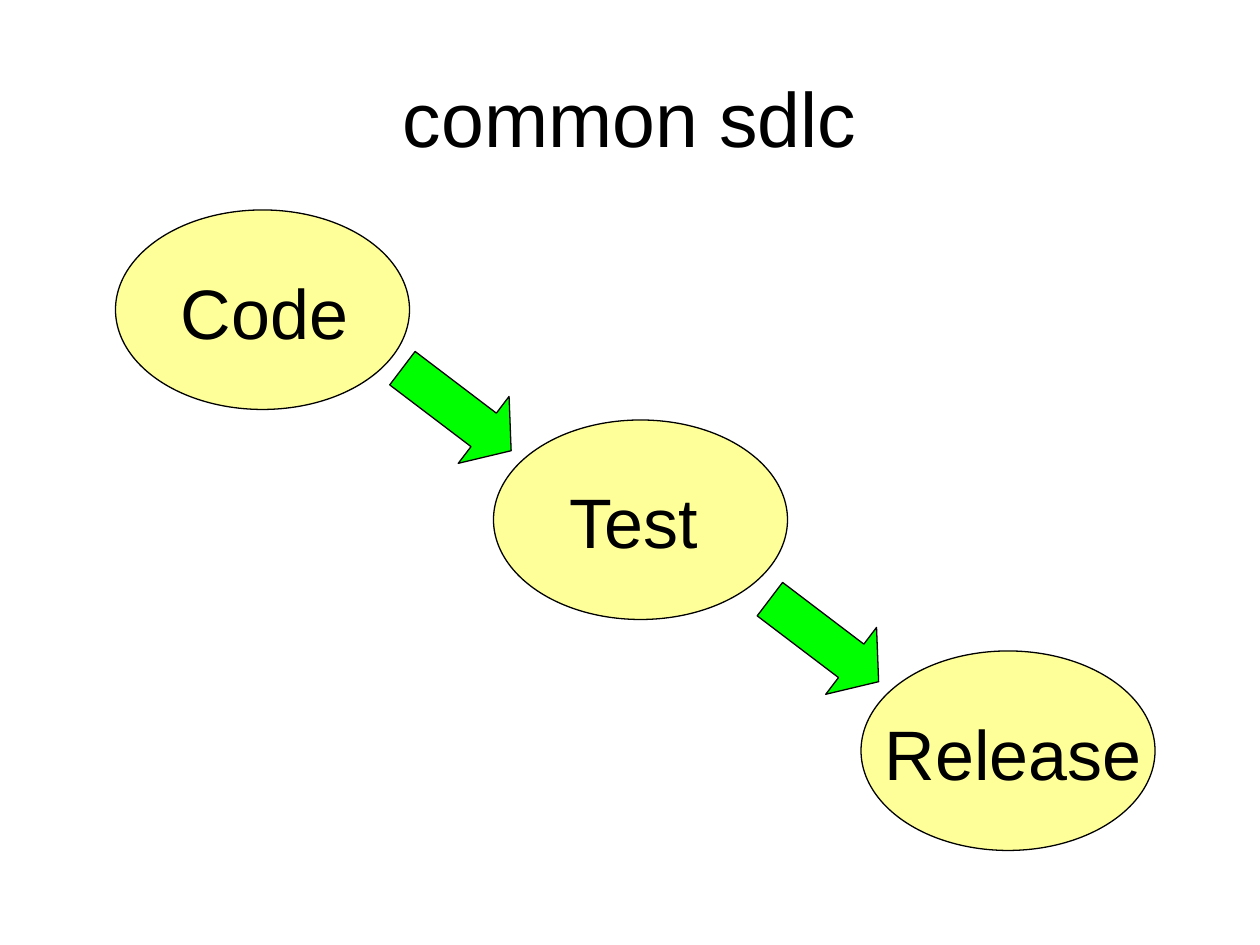
from dataclasses import dataclass

from pptx import Presentation
from pptx.dml.color import RGBColor
from pptx.enum.shapes import MSO_SHAPE
from pptx.enum.text import MSO_ANCHOR, MSO_AUTO_SIZE, PP_ALIGN
from pptx.util import Inches, Pt

ELLIPSE = MSO_SHAPE.OVAL
RIGHT_ARROW = MSO_SHAPE.RIGHT_ARROW
MIDDLE = MSO_ANCHOR.MIDDLE
LEFT = PP_ALIGN.LEFT
CENTER = PP_ALIGN.CENTER
FIXED = MSO_AUTO_SIZE.NONE
GROW = MSO_AUTO_SIZE.SHAPE_TO_FIT_TEXT

CELL = Inches(1) / 12
STAGE_SIZE = (28, 19)
ARROW_SIZE = (13, 8)
ARROW_ANGLE = 37.2
LABEL_DROP = 5
LABEL_HEIGHT = 9.24

BLACK = "000000"
YELLOW = "FFFF99"
GREEN = "00FF00"


@dataclass(frozen=True)
class Stage:
    name: str
    column: int
    row: int
    label_inset: float
    label_width: float


@dataclass(frozen=True)
class Arrow:
    column: int
    row: int


STAGES = [
    Stage("Code", 11, 20, 5.05, 18.4),
    Stage("Test", 47, 40, 6.05, 15.4),
    Stage("Release", 82, 62, 1.1, 26.9),
]
ARROWS = [Arrow(37, 35), Arrow(72, 57)]


def grid(*cells: float) -> list[int]:
    return [round(cell * CELL) for cell in cells]


def color(value: str) -> RGBColor:
    return RGBColor.from_string(value)


def add_figure(shapes, preset, column: float, row: float, size: tuple, fill: str):
    figure = shapes.add_shape(preset, *grid(column, row, *size))
    figure.shadow.inherit = False
    figure.fill.solid()
    figure.fill.fore_color.rgb = color(fill)
    figure.line.color.rgb = color(BLACK)
    figure.line.width = Pt(0.75)
    return figure


def add_text(shapes, text: str, column: float, row: float, width: float,
             height: float, *, size: float, align=LEFT, wrap: bool = False,
             fit=GROW) -> None:
    frame = shapes.add_textbox(*grid(column, row, width, height)).text_frame
    frame.word_wrap = wrap
    frame.auto_size = fit
    frame.vertical_anchor = MIDDLE
    paragraph = frame.paragraphs[0]
    paragraph.alignment = align
    run = paragraph.add_run()
    run.text = text
    run.font.name = "Arial"
    run.font.size = Pt(size)
    run.font.color.rgb = color(BLACK)


def add_stage(slide, stage: Stage) -> None:
    group = slide.shapes.add_group_shape()
    add_figure(group.shapes, ELLIPSE, stage.column, stage.row, STAGE_SIZE, YELLOW)
    add_text(group.shapes, stage.name, stage.column + stage.label_inset,
             stage.row + LABEL_DROP, stage.label_width, LABEL_HEIGHT, size=40)


def add_arrow(slide, arrow: Arrow) -> None:
    figure = add_figure(slide.shapes, RIGHT_ARROW, arrow.column, arrow.row,
                        ARROW_SIZE, GREEN)
    figure.rotation = ARROW_ANGLE
    figure.adjustments[0] = 0.5
    figure.adjustments[1] = 0.41


def main() -> None:
    deck = Presentation()
    deck.slide_width, deck.slide_height = grid(120, 90)
    slide = deck.slides.add_slide(deck.slide_layouts[6])
    add_text(slide.shapes, "common sdlc", 6, 3.6, 108, 15,
             size=44, align=CENTER, wrap=True, fit=FIXED)
    for stage in STAGES:
        add_stage(slide, stage)
    for arrow in ARROWS:
        add_arrow(slide, arrow)
    deck.save("out.pptx")


if __name__ == "__main__":
    main()
